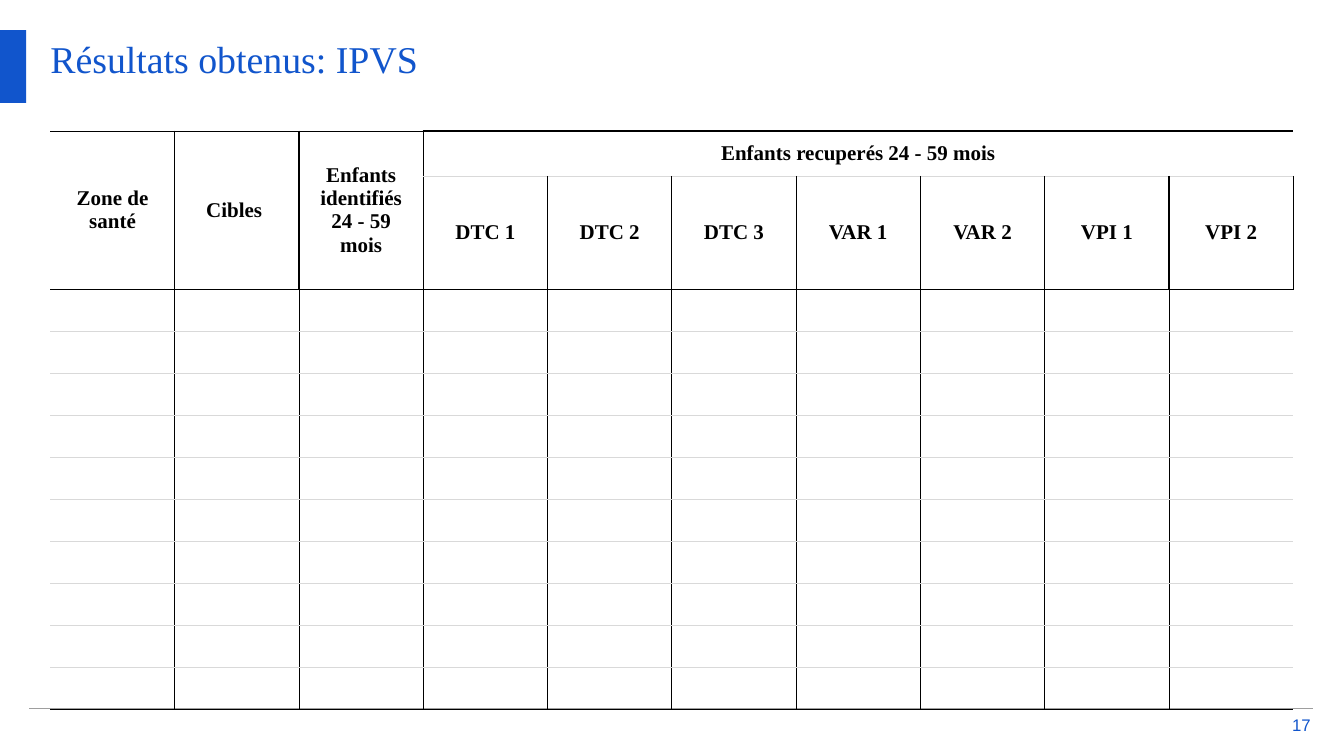
from lxml import etree
from pptx import Presentation
from pptx import util as u
from pptx.dml.color import RGBColor
from pptx.enum import shapes, text
from pptx.oxml import ns

BLUE, BLACK, GREY, RULE, WHITE = "1155CC", "000000", "D9D9D9", "9E9E9E", "FFFFFF"
SERIF, SANS = "Times New Roman", "Arial"
TALL_HEADS = ["Zone de santé", "Cibles ", "Enfants identifiés 24 - 59 mois"]
GROUP_HEAD = "Enfants recuperés 24 - 59 mois"
VACCINES = ["DTC 1", "DTC 2", "DTC 3", "VAR 1", "VAR 2", "VPI 1", "VPI 2"]
BODY_ROWS = 10
ROWS, COLS, FIXED = BODY_ROWS + 2, len(TALL_HEADS + VACCINES), len(TALL_HEADS)


def rgb(color):
    return RGBColor.from_string(color)


def format_text(tf, size, font, color, align, bold=False):
    for p in tf.paragraphs:
        p.alignment = align
        for r in p.runs:
            r.font.size, r.font.name, r.font.bold = u.Pt(size), font, bold
            r.font.color.rgb = rgb(color)


def plain_frame(tf, anchor):
    tf.word_wrap = True
    tf.auto_size = text.MSO_AUTO_SIZE.NONE
    tf.vertical_anchor = anchor
    tf.margin_left = tf.margin_right = tf.margin_top = tf.margin_bottom = 0


def add_header(s, left, top, width, height):
    title = s.shapes.title
    title.left, title.top = u.Inches(left + 0.5), u.Inches(top + 0.05)
    title.width, title.height = u.Inches(width - 1), u.Inches(height)
    tf = title.text_frame
    tf.text = "Résultats obtenus: IPVS"
    plain_frame(tf, text.MSO_ANCHOR.TOP)
    format_text(tf, 27, SERIF, BLUE, text.PP_ALIGN.LEFT)

    bar = s.shapes.add_shape(shapes.MSO_SHAPE.RECTANGLE, u.Inches(left), u.Inches(top),
                             u.Inches(0.26), u.Inches(0.72))
    bar.shadow.inherit = False
    bar.fill.solid()
    bar.fill.fore_color.rgb = rgb(BLUE)
    bar.line.fill.background()


def add_footer(s, left, top, width):
    number = s.shapes.add_textbox(u.Inches(left + width - 0.27), u.Inches(top + 0.07),
                                  u.Inches(0.25), u.Inches(0.18))
    tf = number.text_frame
    tf.text = "17"
    plain_frame(tf, text.MSO_ANCHOR.MIDDLE)
    format_text(tf, 12, SANS, BLUE, text.PP_ALIGN.RIGHT)

    y = u.Inches(top)
    line = s.shapes.add_connector(shapes.MSO_CONNECTOR.STRAIGHT,
                                  u.Inches(left), y, u.Inches(left + width), y)
    line.line.color.rgb = rgb(RULE)
    line.line.width = u.Pt(1)
    etree.SubElement(line._element.spPr, ns.qn("a:effectLst"))


def vertical_edge(row, col):
    """Colour and points of the border left of a column, or None."""
    if col == 0 or (row == 0 and FIXED < col < COLS):
        return None
    if col == COLS:
        return {0: (WHITE, 1), 1: (BLACK, 1)}.get(row)
    return BLACK, 1 if row < 2 and col > 1 else 0.75


def horizontal_edge(row, col):
    """Colour and points of the border above a row, or None."""
    if row == 1 and col < FIXED:
        return None
    if row in (0, 2):
        return BLACK, 0.75 if col < FIXED else 1
    return BLACK if row == ROWS else GREY, 0.75


def set_borders(cell, row, col):
    below, right = row + cell.span_height, col + cell.span_width
    edges = {"a:lnL": vertical_edge(row, col), "a:lnR": vertical_edge(row, right),
             "a:lnT": horizontal_edge(row, col), "a:lnB": horizontal_edge(below, col)}
    tcPr = cell._tc.get_or_add_tcPr()
    for tag, edge in edges.items():
        ln = etree.SubElement(tcPr, ns.qn(tag))
        if edge is None:
            etree.SubElement(ln, ns.qn("a:noFill"))
            continue
        color, points = edge
        ln.set("w", str(u.Pt(points)))
        fill = etree.SubElement(ln, ns.qn("a:solidFill"))
        etree.SubElement(fill, ns.qn("a:srgbClr")).set("val", color)


def set_head(cell, label, margin):
    cell.text = label
    cell.margin_left = cell.margin_right = u.Inches(0.1)
    cell.margin_top = cell.margin_bottom = u.Inches(margin)
    cell.vertical_anchor = text.MSO_ANCHOR.MIDDLE
    format_text(cell.text_frame, 15, SERIF, BLACK, text.PP_ALIGN.CENTER, bold=True)


def add_results_table(s, left, top, width, height):
    tbl = s.shapes.add_table(ROWS, COLS, u.Inches(left), u.Inches(top),
                             u.Inches(width), u.Inches(height)).table
    tbl.first_row = tbl.horz_banding = False
    heads = [0.45, 1.12]
    body = (height - sum(heads)) / BODY_ROWS
    for row, row_height in zip(tbl.rows, heads + [body] * BODY_ROWS):
        row.height = u.Inches(row_height)

    for col, label in enumerate(TALL_HEADS):
        tbl.cell(0, col).merge(tbl.cell(1, col))
        set_head(tbl.cell(0, col), label, 0.1)
    tbl.cell(0, FIXED).merge(tbl.cell(0, COLS - 1))
    set_head(tbl.cell(0, FIXED), GROUP_HEAD, 0.05)
    for col, label in enumerate(VACCINES, FIXED):
        set_head(tbl.cell(1, col), label, 0.05)

    for row in range(ROWS):
        for col in range(COLS):
            cell = tbl.cell(row, col)
            set_borders(cell, row, col)
            cell.fill.background()


def main():
    prs = Presentation()
    prs.slide_width, prs.slide_height = u.Inches(13.33), u.Inches(7.5)
    s = prs.slides.add_slide(prs.slide_layouts[5])
    add_header(s, 0, 0.3, 13.33, 0.8)
    add_footer(s, 0.29, 7.03, 12.73)
    add_results_table(s, 0.5, 1.3, 12.33, 5.74)
    prs.save("out.pptx")


if __name__ == "__main__":
    main()
